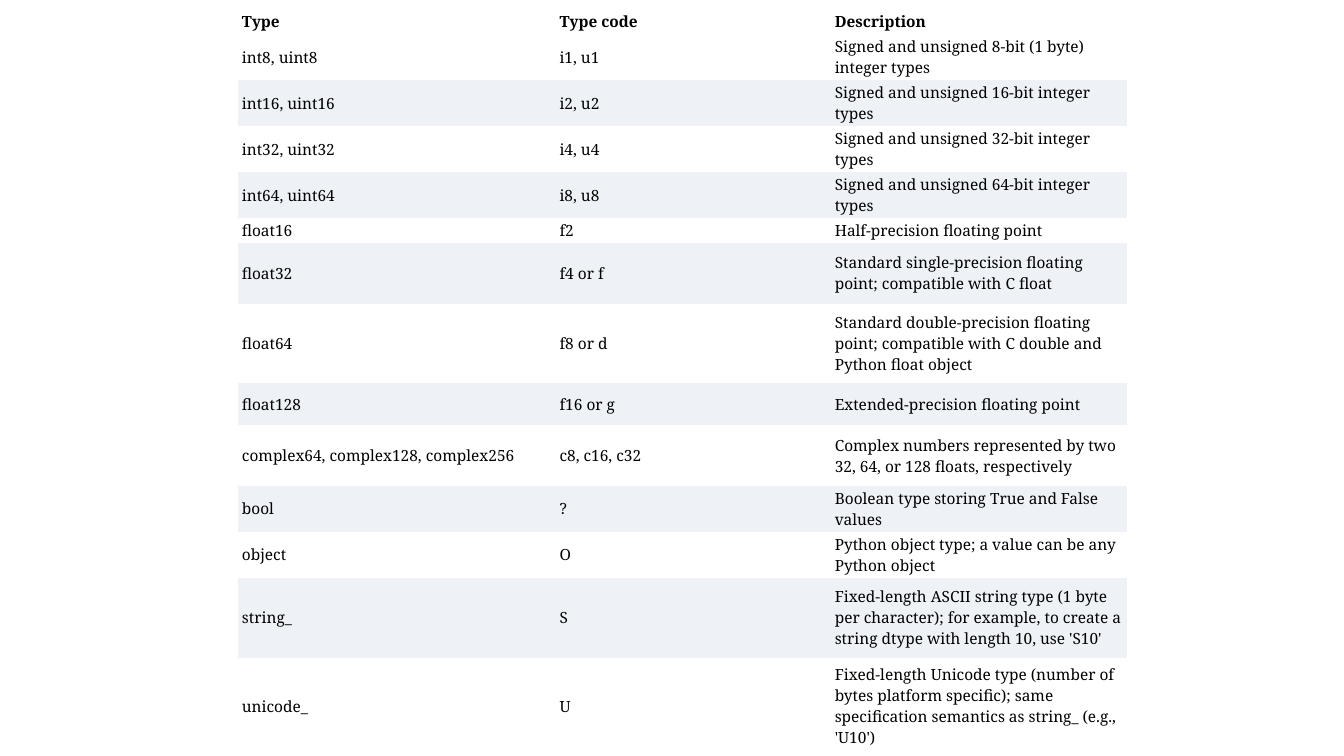
from pptx import Presentation
from pptx.dml.color import RGBColor
from pptx.enum.text import MSO_ANCHOR
from pptx.oxml.ns import qn
from pptx.util import Inches, Pt

WHITE = RGBColor(0xFF, 0xFF, 0xFF)
BAND = RGBColor(0xEE, 0xF2, 0xF6)
BLACK = RGBColor(0, 0, 0)
FONT = "Noto Serif"
NO_STYLE_NO_GRID = "{2D5ABB26-0587-4C30-8999-92F81FD0307C}"

COLUMN_WIDTHS = [3.15, 2.73, 2.94]

# Row height, type, type code, description
DTYPES = [
    (0.24, "Type", "Type code", "Description"),
    (0.42, "int8, uint8", "i1, u1", "Signed and unsigned 8-bit (1 byte) integer types"),
    (0.42, "int16, uint16", "i2, u2", "Signed and unsigned 16-bit integer types"),
    (0.42, "int32, uint32", "i4, u4", "Signed and unsigned 32-bit integer types"),
    (0.42, "int64, uint64", "i8, u8", "Signed and unsigned 64-bit integer types"),
    (0.24, "float16", "f2", "Half-precision floating point"),
    (0.6, "float32", "f4 or f",
     "Standard single-precision floating point; compatible with C float"),
    (0.79, "float64", "f8 or d",
     "Standard double-precision floating point; compatible with C double "
     "and Python float object"),
    (0.42, "float128", "f16 or g", "Extended-precision floating point"),
    (0.6, "complex64, complex128, complex256", "c8, c16, c32",
     "Complex numbers represented by two 32, 64, or 128 floats, respectively"),
    (0.42, "bool", "?", "Boolean type storing True and False values"),
    (0.42, "object", "O", "Python object type; a value can be any Python object"),
    (0.79, "string_", "S",
     "Fixed-length ASCII string type (1 byte per character); for example, "
     "to create a string dtype with length 10, use 'S10'"),
    (0.97, "unicode_", "U",
     "Fixed-length Unicode type (number of bytes platform specific); same "
     "specification semantics as string_ (e.g., 'U10')"),
]

prs = Presentation()
prs.slide_width = Inches(13.33)
prs.slide_height = Inches(7.5)
slide = prs.slides.add_slide(prs.slide_layouts[6])

# Table without style, so that no grid lines show
dtype_table = slide.shapes.add_table(
    len(DTYPES), len(COLUMN_WIDTHS), Inches(2.36), Inches(0.09),
    Inches(sum(COLUMN_WIDTHS)), Inches(sum(row[0] for row in DTYPES))).table
dtype_table.first_row = False
dtype_table.horz_banding = False
dtype_table._tbl.tblPr.find(qn("a:tableStyleId")).text = NO_STYLE_NO_GRID

for column, width in zip(dtype_table.columns, COLUMN_WIDTHS):
    column.width = Inches(width)

# Cells: bold header, then every second row shaded
for index, (height, *texts) in enumerate(DTYPES):
    row = dtype_table.rows[index]
    row.height = Inches(height)
    shaded = index > 0 and index % 2 == 0
    for cell, text in zip(row.cells, texts):
        cell.fill.solid()
        cell.fill.fore_color.rgb = BAND if shaded else WHITE
        cell.vertical_anchor = MSO_ANCHOR.MIDDLE
        cell.margin_left = cell.margin_right = Inches(0.04)
        cell.margin_top = cell.margin_bottom = Inches(0.02)
        cell.text = text
        font = cell.text_frame.paragraphs[0].font
        font.name = FONT
        font.size = Pt(11)
        font.bold = index == 0
        font.color.rgb = BLACK

prs.save("out.pptx")
